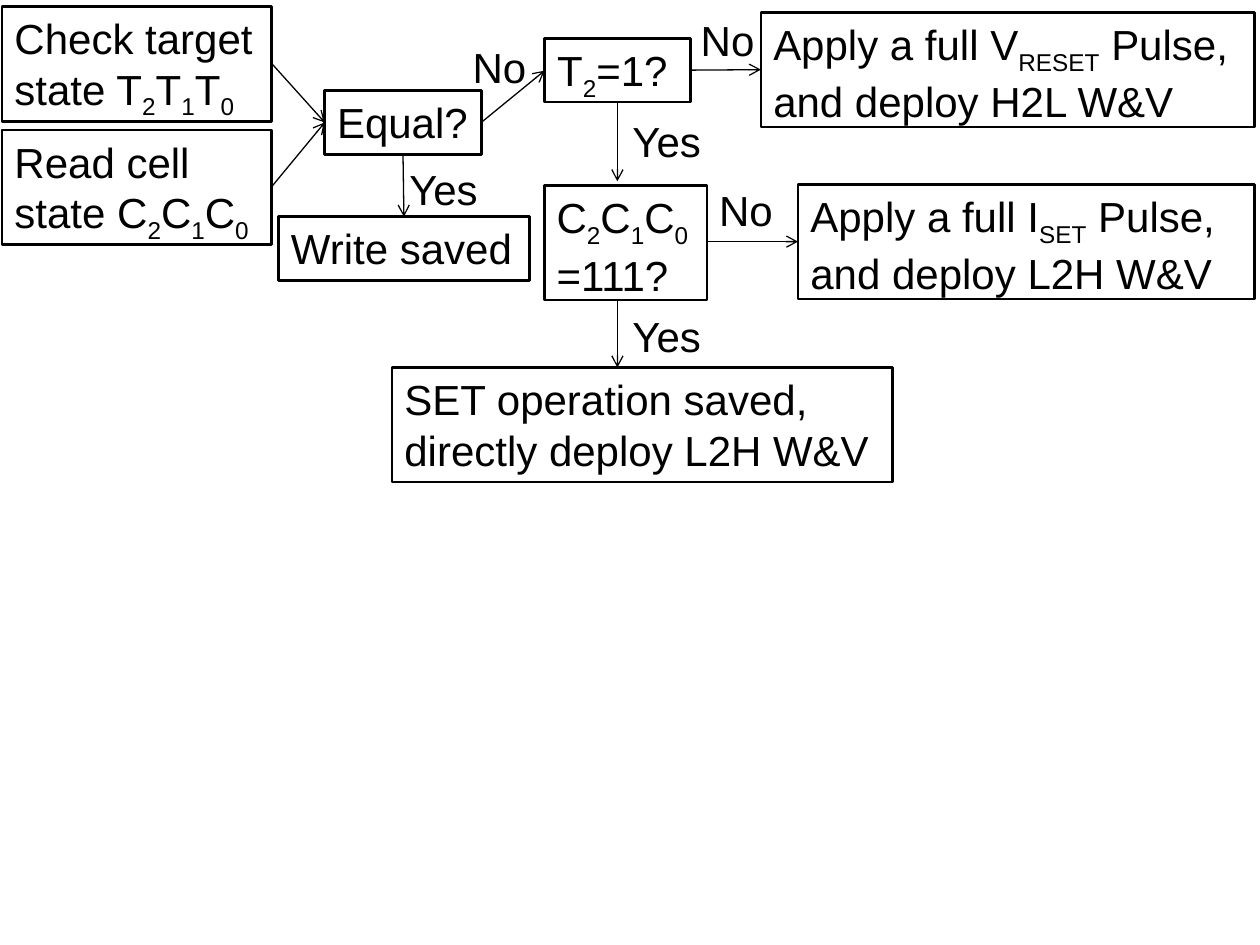
"""Build a flowchart slide of the cell write decision process."""
from dataclasses import dataclass

from lxml.etree import SubElement
from pptx import Presentation
from pptx.dml.color import RGBColor
from pptx.enum.shapes import MSO_CONNECTOR as Connector, MSO_SHAPE as Shape
from pptx.enum.text import MSO_ANCHOR as Anchor, MSO_AUTO_SIZE as AutoSize, PP_ALIGN as Align
from pptx.oxml.ns import qn
from pptx.util import Pt


@dataclass(frozen=True)
class Theme:
    ink: RGBColor = RGBColor(0, 0, 0)
    font: str = "Arial"
    text_size: float = 24
    box_line: float = 1.5
    arrow_line: float = 0.75
    one_line: float = 36.35
    two_lines: float = 65.5


THEME = Theme()

BOXES = [
    ("Check target state T|2|T|1|T|0", 1.2, 3.8, 153.9, THEME.two_lines),
    ("Read cell state C|2|C|1|C|0", 1.2, 74.3, 153.9, THEME.two_lines),
    ("Equal?", 185.5, 51.9, 89.6, THEME.one_line),
    ("Write saved", 159.2, 123.9, 143.3, THEME.one_line),
    ("T|2|=1?", 311.3, 21.9, 83.3, THEME.one_line),
    ("C|2|C|1|C|0|=111?", 311, 106, 93, THEME.two_lines),
    ("SET operation saved, directly deploy L2H W&V", 224, 210, 286, THEME.two_lines),
    ("Apply a full V|RESET| Pulse, and deploy H2L W&V", 434.8, 7.1, 282, THEME.two_lines),
    ("Apply a full I|SET| Pulse, and deploy L2H W&V", 456, 105.3, 260.8, THEME.two_lines),
]

LABELS = [
    ("No", 263, 20.3, 48),
    ("No", 393.3, 4.6, 48),
    ("No", 403.8, 101.8, 48),
    ("Yes", 226.8, 90, 66),
    ("Yes", 354.3, 62.6, 59),
    ("Yes", 354.3, 174.2, 74),
]

ARROWS = [
    (155, 36, 185.6, 70),
    (155, 107, 185.6, 70),
    (275, 70, 311.2, 40.4),
    (230.3, 88.3, 230.8, 123.8),
    (394.6, 40.1, 434.8, 39.8),
    (352.8, 57.9, 352.8, 103.6),
    (352.8, 171.8, 352.8, 210),
    (404, 138.1, 456, 138.1),
]


def write_text(shape, text, color=THEME.ink, size=THEME.text_size):
    """Write text whose every second part between bars is a subscript."""
    frame = shape.text_frame
    frame.word_wrap = True
    frame.auto_size = AutoSize.SHAPE_TO_FIT_TEXT
    frame.vertical_anchor = Anchor.TOP
    paragraph = frame.paragraphs[0]
    paragraph.alignment = Align.LEFT
    for index, part in enumerate(text.split("|")):
        run = paragraph.add_run()
        run.text = part
        run.font.name = THEME.font
        run.font.size = Pt(size)
        run.font.color.rgb = color
        if index % 2:
            run._r.get_or_add_rPr().set("baseline", "-25000")


def add_box(slide, text, left, top, width, height):
    """Add an outlined step of the flow."""
    box = slide.shapes.add_shape(Shape.RECTANGLE, Pt(left), Pt(top), Pt(width), Pt(height))
    box.shadow.inherit = False
    box.fill.background()
    box.line.color.rgb = THEME.ink
    box.line.width = Pt(THEME.box_line)
    write_text(box, text)


def add_label(slide, text, left, top, width):
    """Add the answer beside an arrow."""
    label = slide.shapes.add_textbox(Pt(left), Pt(top), Pt(width), Pt(THEME.one_line))
    write_text(label, text)


def add_arrow(slide, *ends):
    """Add a straight line with an open arrowhead at its end."""
    arrow = slide.shapes.add_connector(Connector.STRAIGHT, *map(Pt, ends))
    arrow.line.color.rgb = THEME.ink
    arrow.line.width = Pt(THEME.arrow_line)
    SubElement(arrow.line._get_or_add_ln(), qn("a:tailEnd"), type="arrow")
    SubElement(arrow._element.spPr, qn("a:effectLst"))


def main():
    """Build and save the presentation."""
    presentation = Presentation()
    presentation.slide_width, presentation.slide_height = Pt(720), Pt(540)
    slide = presentation.slides.add_slide(presentation.slide_layouts[6])
    for add, items in ((add_box, BOXES), (add_arrow, ARROWS), (add_label, LABELS)):
        for item in items:
            add(slide, *item)
    presentation.save("out.pptx")


main()
